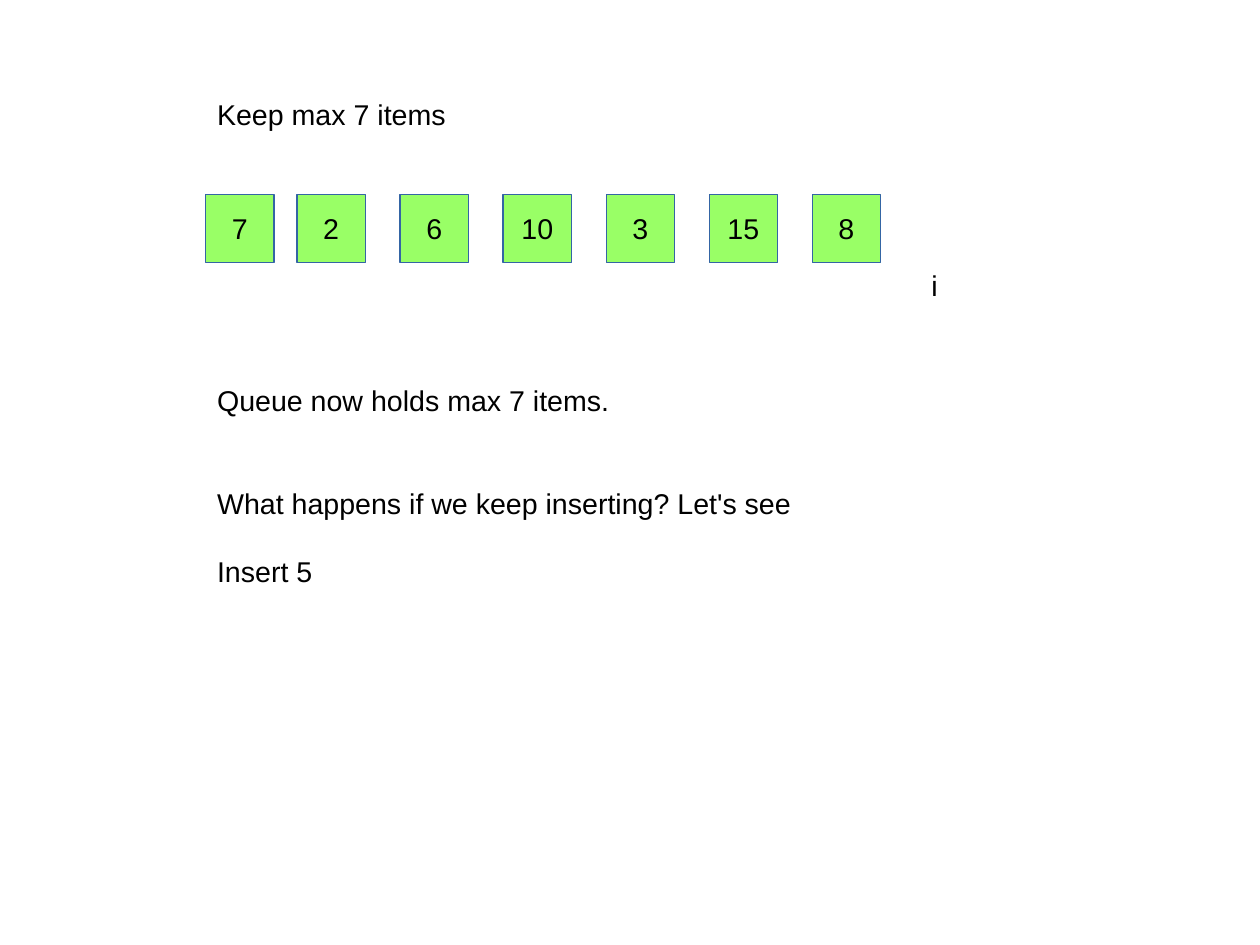
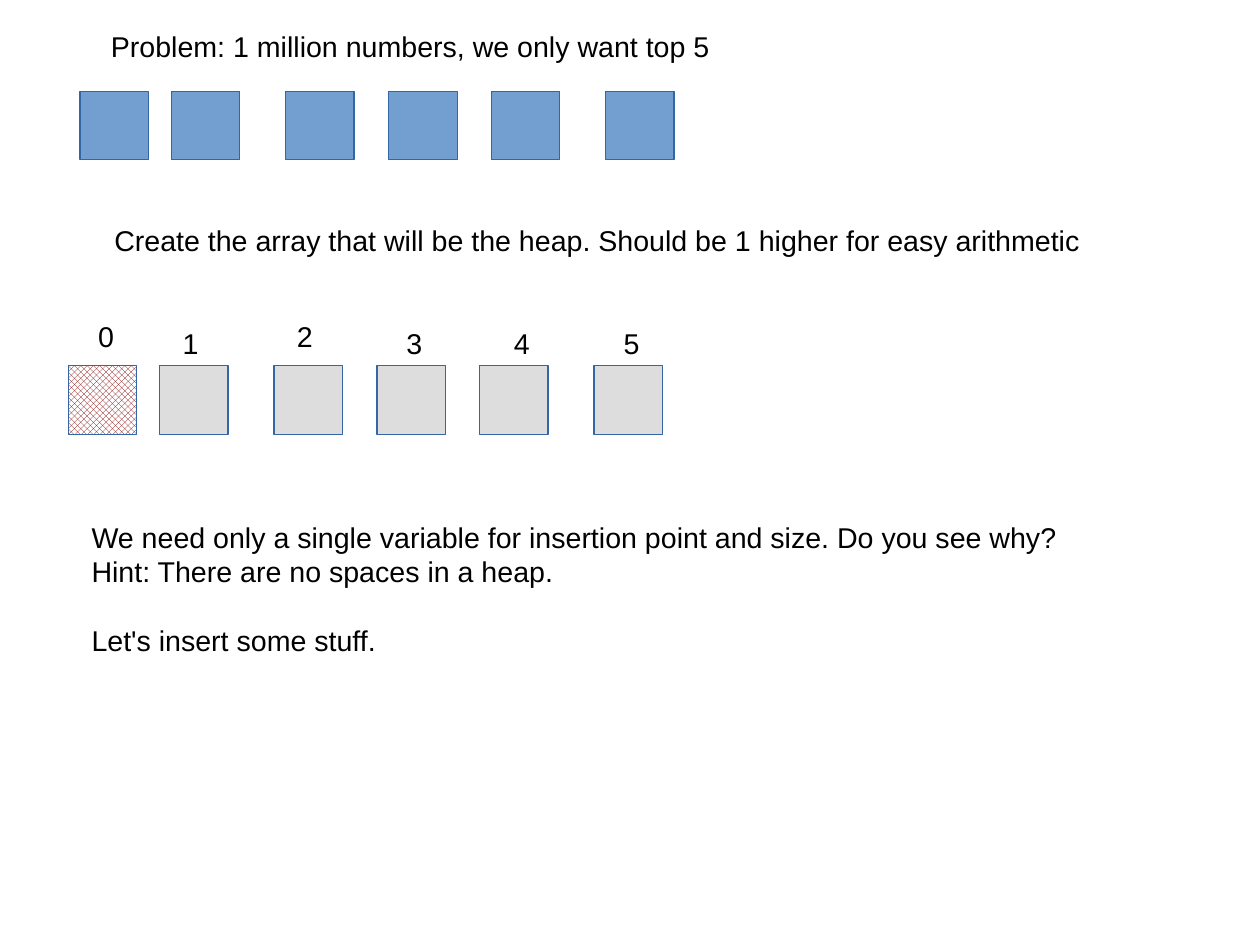
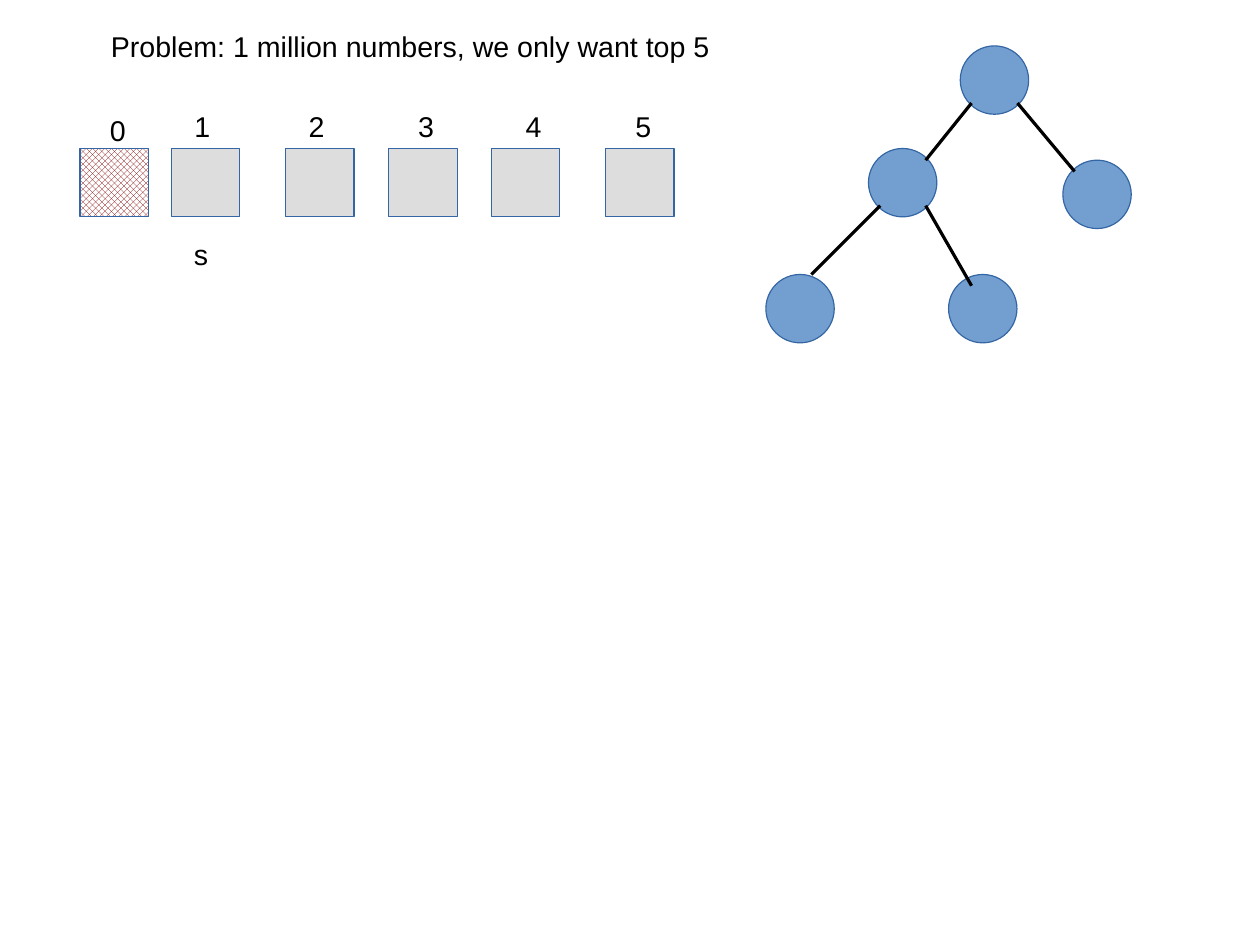
from dataclasses import dataclass
from itertools import accumulate

from lxml import etree
from pptx import Presentation
from pptx import util as u
from pptx.dml.color import RGBColor
from pptx.enum import dml, shapes, text
from pptx.oxml.ns import qn

# Shared style; all lengths are in centimetres
FONT, SIZE = "Arial", 18
BLACK, WHITE, OUTLINE = "000000", "FFFFFF", "3465A4"
GREEN, BLUE, GREY, MAROON = "99FF66", "729FCF", "DDDDDD", "800000"
SIDE = 1.52
LINE_HEIGHT = 0.97
PROBLEM = "Problem: 1 million numbers, we only want top 5"

# Horizontal offsets within a row of six array cells
CELL_OFFSETS = (0, 2.03, 4.57, 6.86, 9.14, 11.68)
INDEX_OFFSETS = (0.41, 2.29, 4.83, 7.26, 9.65, 12.09)

TITLE_AND_BODY, TITLE_ONLY = 1, 5


@dataclass(frozen=True)
class Box:
    left: float
    top: float
    width: float
    height: float = LINE_HEIGHT

    def lengths(self) -> list:
        return [u.Cm(v) for v in (self.left, self.top, self.width, self.height)]


@dataclass(frozen=True)
class Line:
    words: str
    gap_lines: int = 0


@dataclass(frozen=True)
class Edge:
    x1: float
    y1: float
    x2: float
    y2: float


PROBLEM_BOX = Box(2.21, 0.51, 14)


def rgb(value: str) -> RGBColor:
    return RGBColor.from_string(value)


def write(shape, lines: list[Line], align=text.PP_ALIGN.LEFT,
          anchor=text.MSO_ANCHOR.TOP) -> None:
    """Fill a shape with plain black lines of text."""
    frame = shape.text_frame
    frame.word_wrap = True
    frame.auto_size = text.MSO_AUTO_SIZE.NONE
    frame.vertical_anchor = anchor
    frame.text = "\n".join(line.words for line in lines)
    for paragraph, line in zip(frame.paragraphs, lines):
        props = paragraph._p.get_or_add_pPr()
        props.set("marL", "0")
        props.set("indent", "0")
        etree.SubElement(props, qn("a:buNone"))
        paragraph.alignment = align
        paragraph.space_before = u.Pt(21.6 * line.gap_lines)
        for run in paragraph.runs:
            run.font.name, run.font.size = FONT, u.Pt(SIZE)
            run.font.color.rgb = rgb(BLACK)


def place(placeholder, box: Box, lines: list[Line]) -> None:
    (placeholder.left, placeholder.top,
     placeholder.width, placeholder.height) = box.lengths()
    write(placeholder, lines)


def add_label(slide, box: Box, words: str) -> None:
    write(slide.shapes.add_textbox(*box.lengths()), [Line(words)])


def add_node(slide, left: float, top: float, fill: str,
             kind=shapes.MSO_SHAPE.RECTANGLE, words: str = ""):
    """Draw one outlined square cell or round tree node."""
    node = slide.shapes.add_shape(kind, *Box(left, top, SIDE, SIDE).lengths())
    node.shadow.inherit = False
    node.fill.solid()
    node.fill.fore_color.rgb = rgb(fill)
    node.line.color.rgb = rgb(OUTLINE)
    node.line.width = u.Pt(0)
    if words:
        write(node, [Line(words)], text.PP_ALIGN.CENTER, text.MSO_ANCHOR.MIDDLE)
    return node


def add_heap(slide, left: float, top: float, index_tops: tuple) -> None:
    """Draw the heap array: an unused cell 0, then cells 1 to 5."""
    cells = [add_node(slide, left + offset, top, GREY) for offset in CELL_OFFSETS]
    unused = cells[0].fill
    unused.patterned()
    unused.pattern = dml.MSO_PATTERN.OUTLINED_DIAMOND
    unused.fore_color.rgb = rgb(MAROON)
    unused.back_color.rgb = rgb(WHITE)
    for index, (offset, index_top) in enumerate(zip(INDEX_OFFSETS, index_tops)):
        add_label(slide, Box(left + offset, index_top, 0.86, 1.68), str(index))


def add_edge(slide, edge: Edge) -> None:
    ends = [u.Cm(v) for v in (edge.x1, edge.y1, edge.x2, edge.y2)]
    branch = slide.shapes.add_connector(shapes.MSO_CONNECTOR.STRAIGHT, *ends)
    branch.line.color.rgb = rgb(BLACK)
    branch.line.width = u.Pt(0)
    etree.SubElement(branch._element.spPr, qn("a:effectLst"))


def new_slide(deck, layout: int, title: str, box: Box):
    slide = deck.slides.add_slide(deck.slide_layouts[layout])
    place(slide.shapes.title, box, [Line(title)])
    return slide


def build_full_queue(deck) -> None:
    slide = new_slide(deck, TITLE_AND_BODY, "Keep max 7 items", Box(4.57, 2.03, 5.8))
    lefts = accumulate([4.57, 2.03] + [2.29] * 5)
    for left, item in zip(lefts, (7, 2, 6, 10, 3, 15, 8)):
        add_node(slide, left, 4.32, GREEN, words=str(item))
    place(slide.placeholders[1], Box(4.57, 8.38, 13.5, 4.52), [
        Line("Queue now holds max 7 items."),
        Line("What happens if we keep inserting? Let's see", 2),
        Line("Insert 5", 1),
    ])
    add_label(slide, Box(20.45, 5.84, 0.64), "i")


def build_heap_array(deck) -> None:
    slide = new_slide(deck, TITLE_AND_BODY, PROBLEM, PROBLEM_BOX)
    for offset in CELL_OFFSETS:
        add_node(slide, 1.78 + offset, 2.03, BLUE)
    add_label(slide, Box(2.29, 4.83, 22.2),
              "Create the array that will be the heap. "
              "Should be 1 higher for easy arithmetic")
    add_heap(slide, 1.52, 8.13, (6.96, 7.11, 6.96, 7.11, 7.11, 7.11))
    place(slide.placeholders[1], Box(1.78, 11.43, 22.2, 3.1), [
        Line("We need only a single variable for insertion point and size. "
             "Do you see why?"),
        Line("Hint: There are no spaces in a heap."),
        Line("Let's insert some stuff.", 1),
    ])


def build_heap_tree(deck) -> None:
    slide = new_slide(deck, TITLE_ONLY, PROBLEM, PROBLEM_BOX)
    add_heap(slide, 1.78, 3.3, (2.39,) + (2.29,) * 5)
    add_label(slide, Box(4.06, 5.13, 1.27), "s")

    # Tree of five nodes, then its branches
    for left, top in ((19.3, 3.3), (21.34, 1.02), (23.62, 3.56),
                      (17.02, 6.1), (21.08, 6.1)):
        add_node(slide, left, top, BLUE, shapes.MSO_SHAPE.OVAL)
    for edge in (Edge(21.59, 2.29, 20.57, 3.56), Edge(19.56, 4.57, 18.03, 6.1),
                 Edge(22.61, 2.29, 23.88, 3.81), Edge(21.59, 6.35, 20.57, 4.57)):
        add_edge(slide, edge)


def main() -> None:
    deck = Presentation()
    deck.slide_width, deck.slide_height = u.Cm(28), u.Cm(21)
    build_full_queue(deck)
    build_heap_array(deck)
    build_heap_tree(deck)
    deck.save("out.pptx")


if __name__ == "__main__":
    main()
